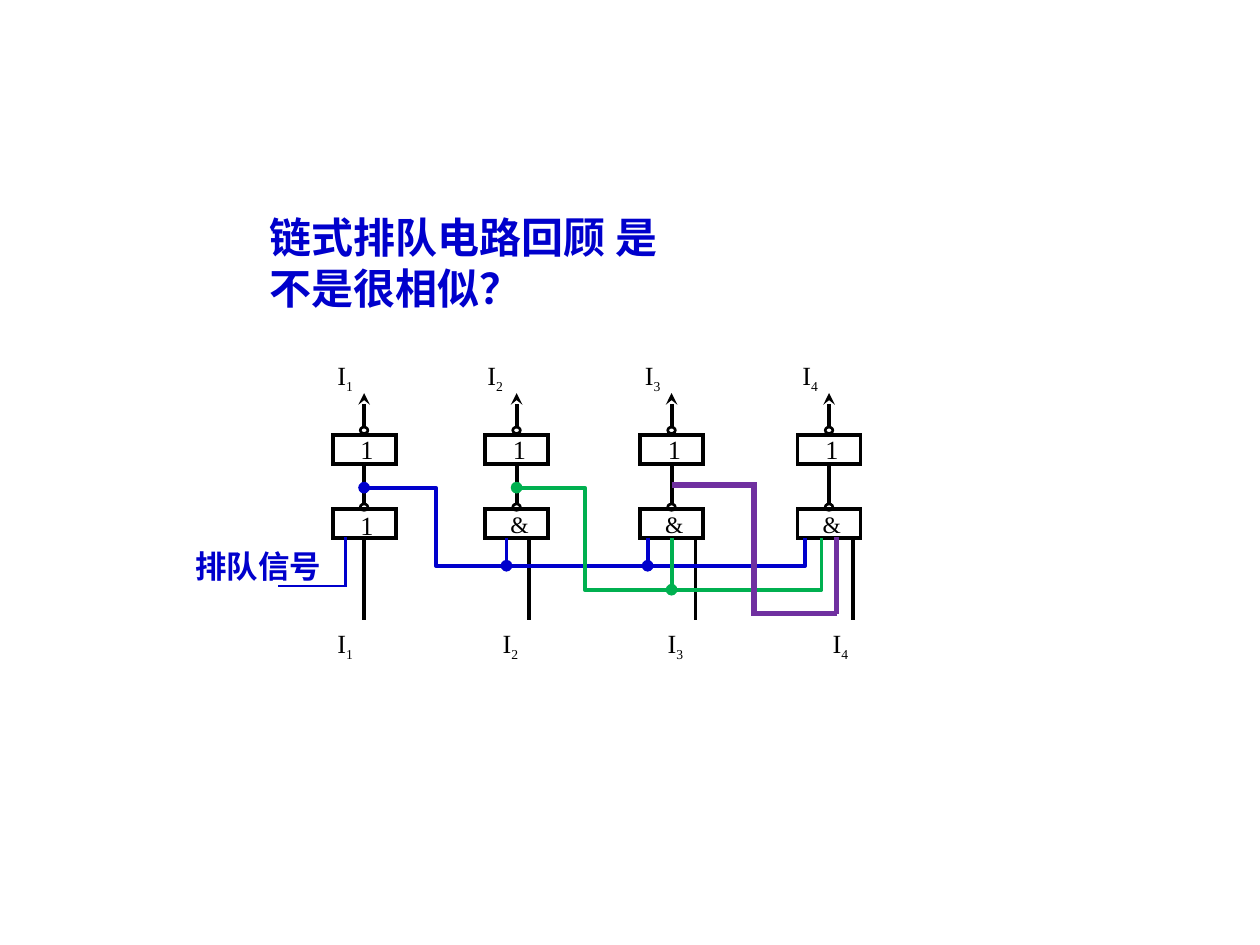
"""Build the slide on the chained queueing circuit."""
from lxml.etree import SubElement as Sub
from pptx import Presentation
from pptx.dml.color import RGBColor
from pptx.enum.shapes import MSO_CONNECTOR as Conn, MSO_SHAPE as Kind
from pptx.enum.text import MSO_ANCHOR as Anchor
from pptx.oxml.ns import qn
from pptx.util import Cm, Pt

BLACK = RGBColor(0, 0, 0)
BLUE = RGBColor(0x00, 0x00, 0xCC)
GREEN = RGBColor(0x00, 0xB0, 0x50)
PURPLE = RGBColor(0x70, 0x30, 0xA0)
FONT = "Times New Roman"

TITLES = [
    ("链式排队电路回顾 是不是很相似？", 2.14, 1.86, 24),
    ("排队信号", 1.55, 4.27, 18),
]
GATES = [
    (2.64, "1", 2.89, 2.58),
    (3.85, "&", 4.2, 3.77),
    (5.08, "&", 5.52, 5.02),
    (6.33, "&", 6.77, 6.27),
]
BUSES = [
    (BLUE, [(2.89, 3.87), (3.46, 3.87), (3.46, 4.49), (6.39, 4.49), (6.39, 4.27)], [4.02, 5.14]),
    (GREEN, [(4.1, 3.87), (4.64, 3.87), (4.64, 4.68), (6.52, 4.68), (6.52, 4.27)], [5.33]),
]
BENDS = [
    (BLUE, 1.5, (2.21, 4.65), (2.75, 4.27), 0.99),
    (PURPLE, 3, (5.33, 3.85), (6.64, 4.87), 0.5),
]
WIDE, HIGH, TOP, LOW = 0.5, 0.23, 3.45, 4.04


def inch(*vals):
    return [Cm(val * 2.54) for val in vals]


def pen(item, color, width, join="miter", head=None, tail=None):
    item.line.color.rgb = color
    item.line.width = Pt(width)
    props = item._element.spPr
    line = props.find(qn("a:ln"))
    Sub(line, qn("a:" + join))
    for tag, end in (("headEnd", head), ("tailEnd", tail)):
        if end:
            Sub(line, qn("a:" + tag), type=end)
    if props.find(qn("a:effectLst")) is None:
        Sub(props, qn("a:effectLst"))


def wire(start, end, color=BLACK, width=2.25, kind=Conn.STRAIGHT, **ends):
    item = shapes.add_connector(kind, *inch(*start, *end))
    pen(item, color, width, **ends)
    return item


def block(kind, left, top, wide, high, width):
    item = shapes.add_shape(kind, *inch(left, top, wide, high))
    item.shadow.inherit = False
    item.fill.background()
    pen(item, BLACK, width)
    return item


def label(runs, place, color=BLACK, bold=False, wrap=False, pads=(0.1, 0.05), mid=False):
    frame = shapes.add_textbox(*inch(*place)).text_frame
    frame.word_wrap = wrap
    frame.margin_left, frame.margin_top = inch(*pads)
    if mid:
        frame.vertical_anchor = Anchor.MIDDLE
        frame.margin_right = 0
    for text, size, base in runs:
        run = frame.paragraphs[0].add_run()
        run.text = text
        font = run.font
        font.name, font.size, font.bold = FONT, Pt(size), bold
        font.color.rgb = color
        if base:
            run._r.get_or_add_rPr().set("baseline", str(base))


def gate(left, sign, feed):
    mid = left + WIDE / 2
    upper, lower = [block(Kind.RECTANGLE, left, top, WIDE, HIGH, 2.25) for top in (TOP, LOW)]
    label([("1", 15, 0)], (left + 0.07, 3.39, 0.36, 0.35), pads=(0.15, 0.05))
    if sign == "1":
        label([(sign, 15, 0)], (left + 0.07, 3.99, 0.36, 0.35), pads=(0.15, 0.05))
    else:
        label([(sign, 13.5, 0)], (left + 0.05, 4, 0.4, 0.33), pads=(0.15, 0.05))
    for top in (3.39, 4):
        block(Kind.OVAL, mid - 0.03, top, 0.06, 0.05, 1.5)
    wire((mid, TOP + HIGH), (mid, 4.01)).begin_connect(upper, 2)
    wire((mid, 3.4), (mid, 3.12), tail="stealth")
    line = wire((feed, LOW + HIGH), (feed, 4.92))
    if feed == mid:
        line.begin_connect(lower, 2)


def bus(color, spots, taps):
    pts = [inch(*spot) for spot in spots]
    maker = shapes.build_freeform(*pts[0])
    maker.add_line_segments(pts[1:], close=False)
    item = maker.convert_to_shape()
    item.shadow.inherit = False
    item.fill.background()
    pen(item, color, 2.25, join="round", head="oval")
    for tap in taps:
        wire((tap, 4.27), (tap, spots[2][1]), color, tail="oval")


def bend(color, width, start, end, part):
    item = wire(start, end, color, width, Conn.ELBOW)
    shape = item._element.spPr.find(qn("a:prstGeom"))
    rules = shape.find(qn("a:avLst"))
    if rules is None:
        rules = Sub(shape, qn("a:avLst"))
    Sub(rules, qn("a:gd"), name="adj1", fmla=f"val {round(part * 100000)}")


deck = Presentation()
deck.slide_width, deck.slide_height = inch(10, 7.5)
shapes = deck.slides.add_slide(deck.slide_layouts[6]).shapes

for left, sign, feed, _ in GATES:
    gate(left, sign, feed)
for row in BUSES:
    bus(*row)
for num, (_, _, _, left) in enumerate(GATES):
    name = [("I", 15, 0), (str(num + 1), 13.5, -25000)]
    label(name, (left, 2.8, 0.88, 0.35), wrap=True)
    label(name, (2.58 + 1.31 * num, 4.93, 1.25, 0.35), wrap=True)
for row in BENDS:
    bend(*row)
wire((6.64, 4.87), (6.64, 4.26), PURPLE, 3)
for text, left, top, size in TITLES:
    label([(text, size, 0)], (left, top, 3.19, 0.44), BLUE, True, pads=(0, 0.05), mid=True)

deck.save("out.pptx")
